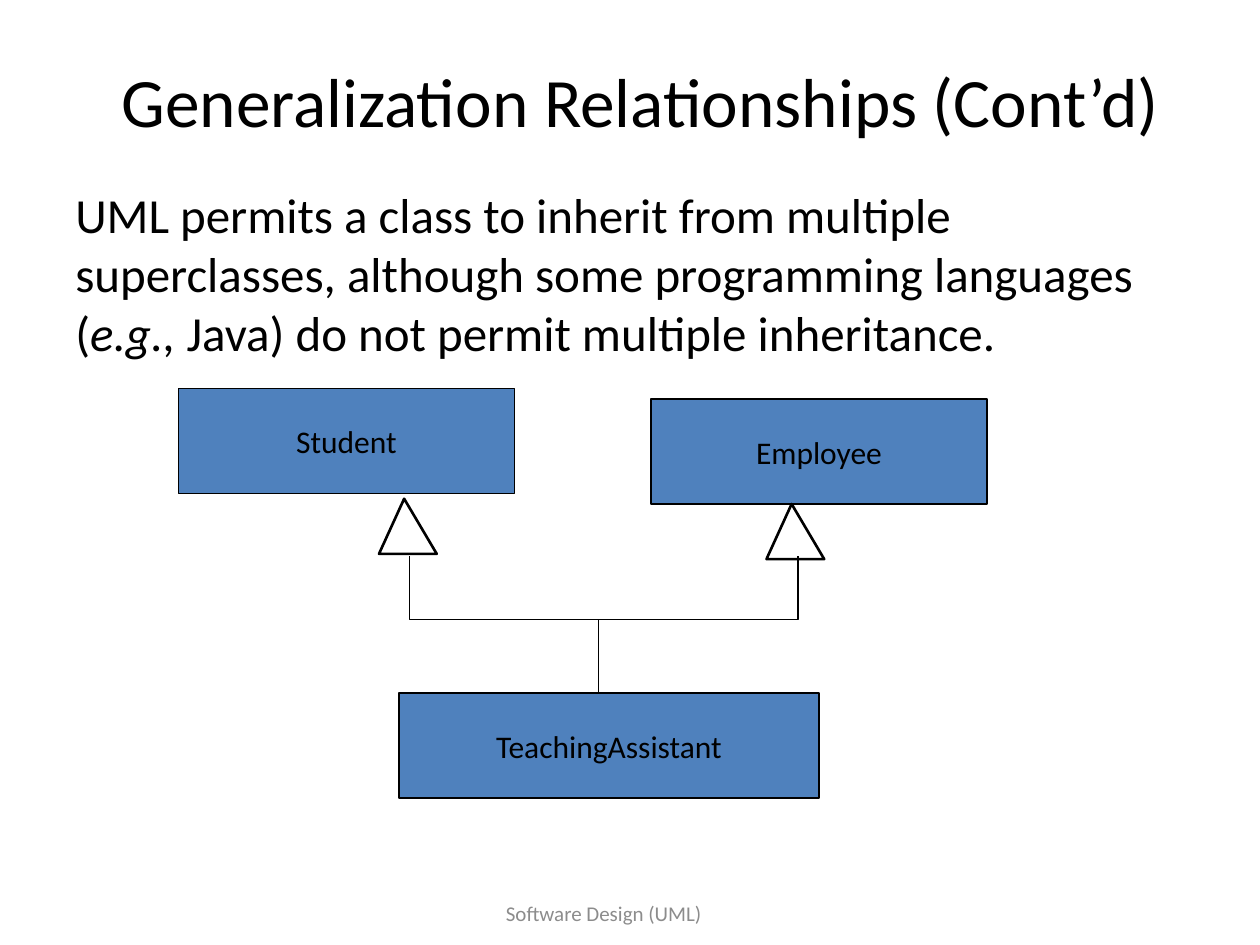
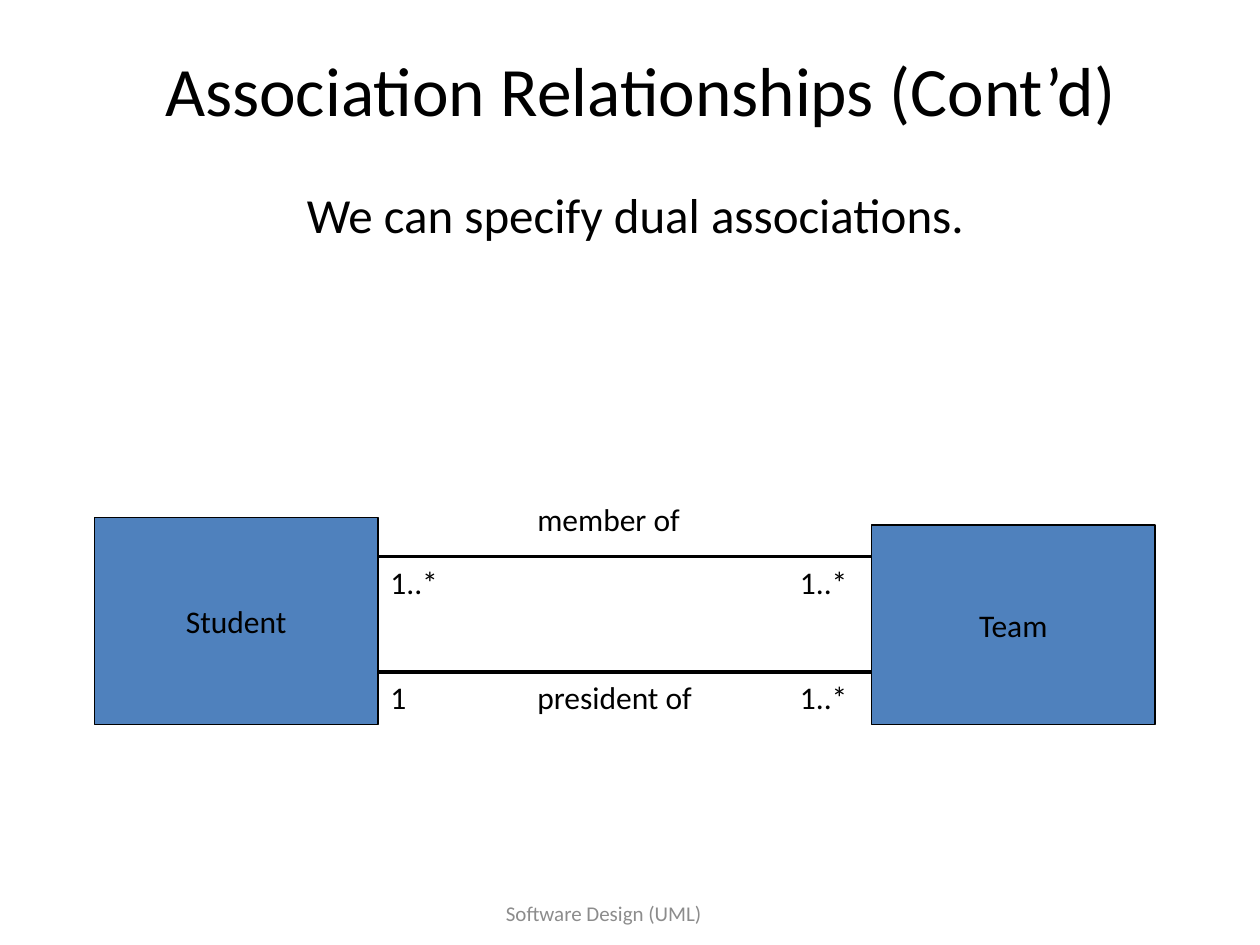
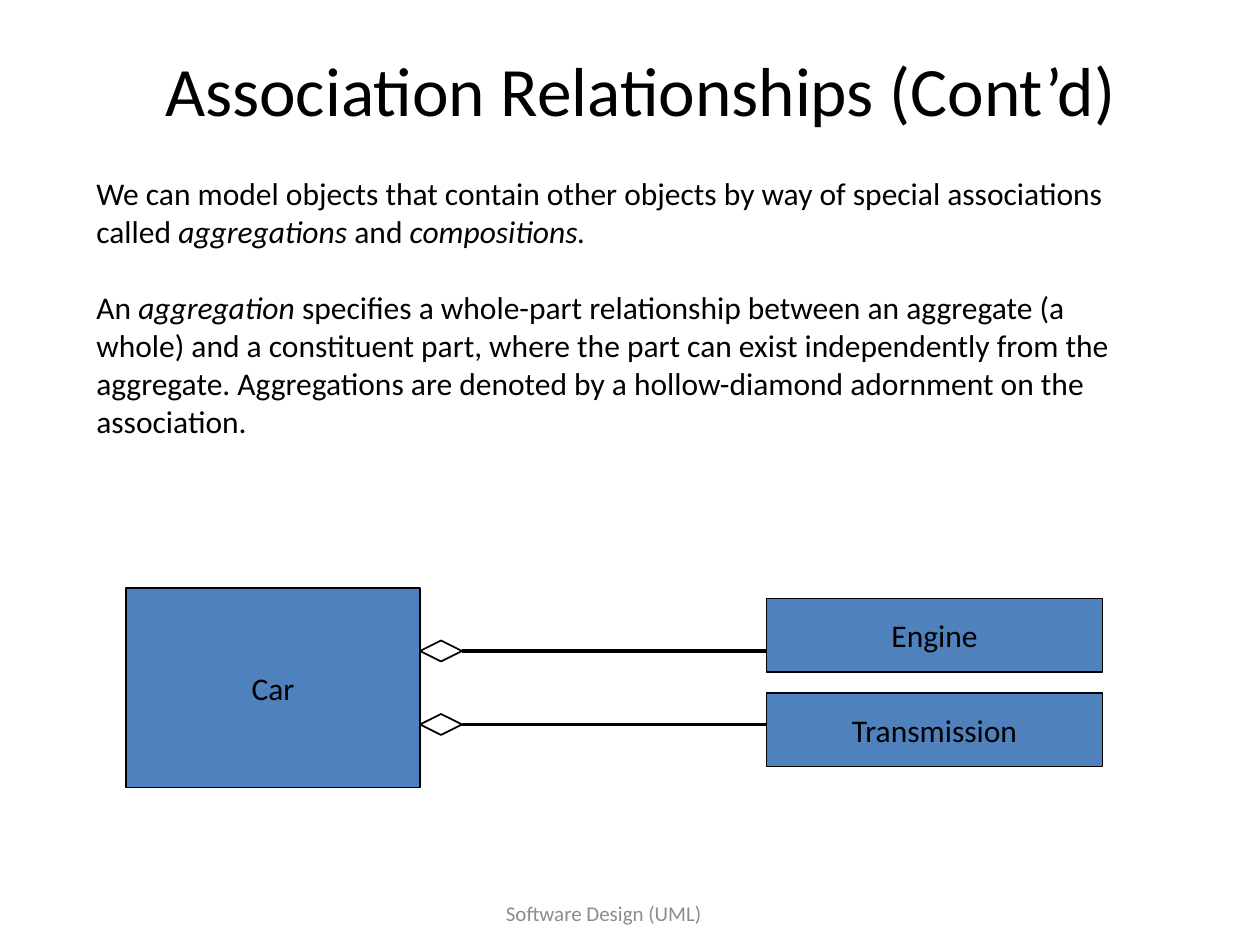
from dataclasses import dataclass

from pptx import Presentation
from pptx.dml.color import RGBColor
from pptx.enum.shapes import MSO_CONNECTOR, MSO_SHAPE
from pptx.enum.text import MSO_ANCHOR, MSO_AUTO_SIZE, PP_ALIGN
from pptx.oxml.ns import qn
from pptx.presentation import Presentation as Deck
from pptx.shapes.autoshape import Shape
from pptx.slide import Slide
from pptx.text.text import TextFrame, _Paragraph
from pptx.util import Inches, Pt
from lxml.etree import SubElement

FONT = "Calibri"
BLACK = RGBColor(0, 0, 0)
WHITE = RGBColor(255, 255, 255)
GREY = RGBColor(0x8C, 0x8C, 0x8C)
BLUE = RGBColor(0x4F, 0x81, 0xBD)
COLUMNS, ROWS = 120, 90
CELL = Inches(10) // COLUMNS
TITLE_SIZE, BODY_SIZE, LABEL_SIZE, FOOTER_SIZE = 39.6, 28, 18, 12
BOX_LINE, THIN_LINE, TRIANGLE_LINE, ASSOCIATION_LINE = 0.75, 1, 1.5, 2.25
ITALIC_MARK = "_"

Point = tuple[float, float]


@dataclass(frozen=True)
class Area:
    column: float
    row: float
    columns: float
    rows: float

    def lengths(self) -> tuple[int, int, int, int]:
        return cells(self.column), cells(self.row), cells(self.columns), cells(self.rows)


@dataclass(frozen=True)
class ClassBox:
    name: str
    area: Area


@dataclass(frozen=True)
class Label:
    text: str
    area: Area


FOOTER = Label("Software Design (UML)", Area(31, 84, 53, 6))
ASSOCIATION_TITLE = Label("Association Relationships (Cont’d)", Area(8, 5, 106, 7))


def cells(count: float) -> int:
    return round(count * CELL)


def format_runs(paragraph: _Paragraph, size: float, color: RGBColor) -> None:
    for run in paragraph.runs:
        run.font.name = FONT
        run.font.size = Pt(size)
        run.font.color.rgb = color


def fill_frame(frame: TextFrame, text: str, size: float,
               align: PP_ALIGN = PP_ALIGN.LEFT, color: RGBColor = BLACK) -> None:
    frame.text = text
    for paragraph in frame.paragraphs:
        paragraph.alignment = align
        parts = paragraph.text.split(ITALIC_MARK)
        paragraph.text = parts[0]
        for index, part in enumerate(parts[1:], start=1):
            run = paragraph.add_run()
            run.text = part
            run.font.italic = index % 2 == 1
        format_runs(paragraph, size, color)


def add_text(slide: Slide, label: Label, size: float = LABEL_SIZE,
             align: PP_ALIGN = PP_ALIGN.LEFT, color: RGBColor = BLACK) -> TextFrame:
    frame = slide.shapes.add_textbox(*label.area.lengths()).text_frame
    frame.word_wrap = True
    fill_frame(frame, label.text, size, align, color)
    return frame


def add_titled_slide(presentation: Deck, title: Label) -> Slide:
    slide = presentation.slides.add_slide(presentation.slide_layouts[5])
    placeholder = slide.shapes.title
    placeholder.left, placeholder.top, placeholder.width, placeholder.height = title.area.lengths()
    frame = placeholder.text_frame
    frame.auto_size = MSO_AUTO_SIZE.NONE
    frame.vertical_anchor = MSO_ANCHOR.MIDDLE
    fill_frame(frame, title.text, TITLE_SIZE, PP_ALIGN.CENTER)
    footer = add_text(slide, FOOTER, FOOTER_SIZE, PP_ALIGN.CENTER, GREY)
    footer.vertical_anchor = MSO_ANCHOR.MIDDLE
    return slide


def outline(shape: Shape, width: float) -> None:
    shape.shadow.inherit = False
    shape.line.color.rgb = BLACK
    shape.line.width = Pt(width)


def add_class_box(slide: Slide, box: ClassBox) -> None:
    shape = slide.shapes.add_shape(MSO_SHAPE.RECTANGLE, *box.area.lengths())
    shape.fill.solid()
    shape.fill.fore_color.rgb = BLUE
    outline(shape, BOX_LINE)
    frame = shape.text_frame
    frame.word_wrap = False
    frame.vertical_anchor = MSO_ANCHOR.MIDDLE
    fill_frame(frame, box.name, LABEL_SIZE, PP_ALIGN.CENTER)


def add_line(slide: Slide, start: Point, end: Point, width: float) -> None:
    ends = [cells(value) for value in (*start, *end)]
    line = slide.shapes.add_connector(MSO_CONNECTOR.STRAIGHT, *ends)
    line.line.color.rgb = BLACK
    line.line.width = Pt(width)
    SubElement(line._element.spPr, qn("a:effectLst"))


def add_outline(slide: Slide, points: list[Point], width: float, closed: bool = True) -> None:
    first, *others = [(cells(column), cells(row)) for column, row in points]
    builder = slide.shapes.build_freeform(*first)
    builder.add_line_segments(others, close=closed)
    shape = builder.convert_to_shape()
    if closed:
        shape.fill.solid()
        shape.fill.fore_color.rgb = WHITE
    else:
        shape.fill.background()
    outline(shape, width)


def add_inheritance_triangle(slide: Slide, left: float, top: float) -> None:
    bottom = top + 5.25
    add_outline(slide, [(left + 2.4, top), (left, bottom), (left + 5.5, bottom)], TRIANGLE_LINE)


def add_aggregation(slide: Slide, left: float, right: float, row: float) -> None:
    middle, tip = left + 2, left + 4
    add_line(slide, (tip, row), (right, row), ASSOCIATION_LINE)
    add_outline(slide, [(left, row), (middle, row - 1), (tip, row), (middle, row + 1)], THIN_LINE)


def build_generalization(presentation: Deck) -> None:
    slide = add_titled_slide(
        presentation, Label("Generalization Relationships (Cont’d)", Area(0, 6, 122, 7)))
    add_text(slide, Label(
        "UML permits a class to inherit from multiple superclasses, although some "
        "programming languages (_e.g.,_ Java) do not permit multiple inheritance.",
        Area(6, 17, 107, 18)), BODY_SIZE)
    for box in (ClassBox("Student", Area(17, 37, 32, 10)),
                ClassBox("Employee", Area(62, 38, 32, 10)),
                ClassBox("TeachingAssistant", Area(38, 66, 40, 10))):
        add_class_box(slide, box)
    add_inheritance_triangle(slide, 36.1, 47.5)
    add_inheritance_triangle(slide, 73, 48)
    add_outline(slide, [(39, 53), (39, 59), (76, 59), (76, 53)], THIN_LINE, closed=False)
    add_line(slide, (57, 59), (57, 66), THIN_LINE)


def build_dual_association(presentation: Deck) -> None:
    slide = add_titled_slide(presentation, ASSOCIATION_TITLE)
    add_text(slide, Label("We can specify dual associations.", Area(9, 17, 103, 7)),
             BODY_SIZE, PP_ALIGN.CENTER)
    member_row, president_row = 53, 64
    for row in (member_row, president_row):
        add_line(slide, (36, row), (83, row), ASSOCIATION_LINE)
        add_text(slide, Label("1..*", Area(75, row, 9, 6)))
    add_class_box(slide, ClassBox("Team", Area(83, 50, 27, 19)))
    add_class_box(slide, ClassBox("Student", Area(9, 49.3, 27, 19.7)))
    for label in (Label("member of", Area(50, member_row - 6, 23, 6)),
                  Label("1..*", Area(36, member_row, 9, 6)),
                  Label("president of", Area(50, president_row, 23, 6)),
                  Label("1", Area(36, president_row, 5, 5))):
        add_text(slide, label)


def build_aggregation(presentation: Deck) -> None:
    slide = add_titled_slide(presentation, ASSOCIATION_TITLE)
    frame = add_text(slide, Label(
        "We can model objects that contain other objects by way of special associations "
        "called _aggregations_ and _compositions._\n"
        "An _aggregation_ specifies a whole-part relationship between an aggregate (a whole) "
        "and a constituent part, where the part can exist independently from the aggregate. "
        "Aggregations are denoted by a hollow-diamond adornment on the association.",
        Area(8, 16, 103, 35)))
    frame.paragraphs[1].space_before = Pt(22)
    for box in (ClassBox("Car", Area(12, 56, 28, 19)),
                ClassBox("Engine", Area(73, 57, 32, 7)),
                ClassBox("Transmission", Area(73, 66, 32, 7))):
        add_class_box(slide, box)
    for row in (62, 69):
        add_aggregation(slide, 40, 73, row)


def main() -> None:
    presentation = Presentation()
    presentation.slide_width = cells(COLUMNS)
    presentation.slide_height = cells(ROWS)
    build_generalization(presentation)
    build_dual_association(presentation)
    build_aggregation(presentation)
    presentation.save("out.pptx")


if __name__ == "__main__":
    main()
